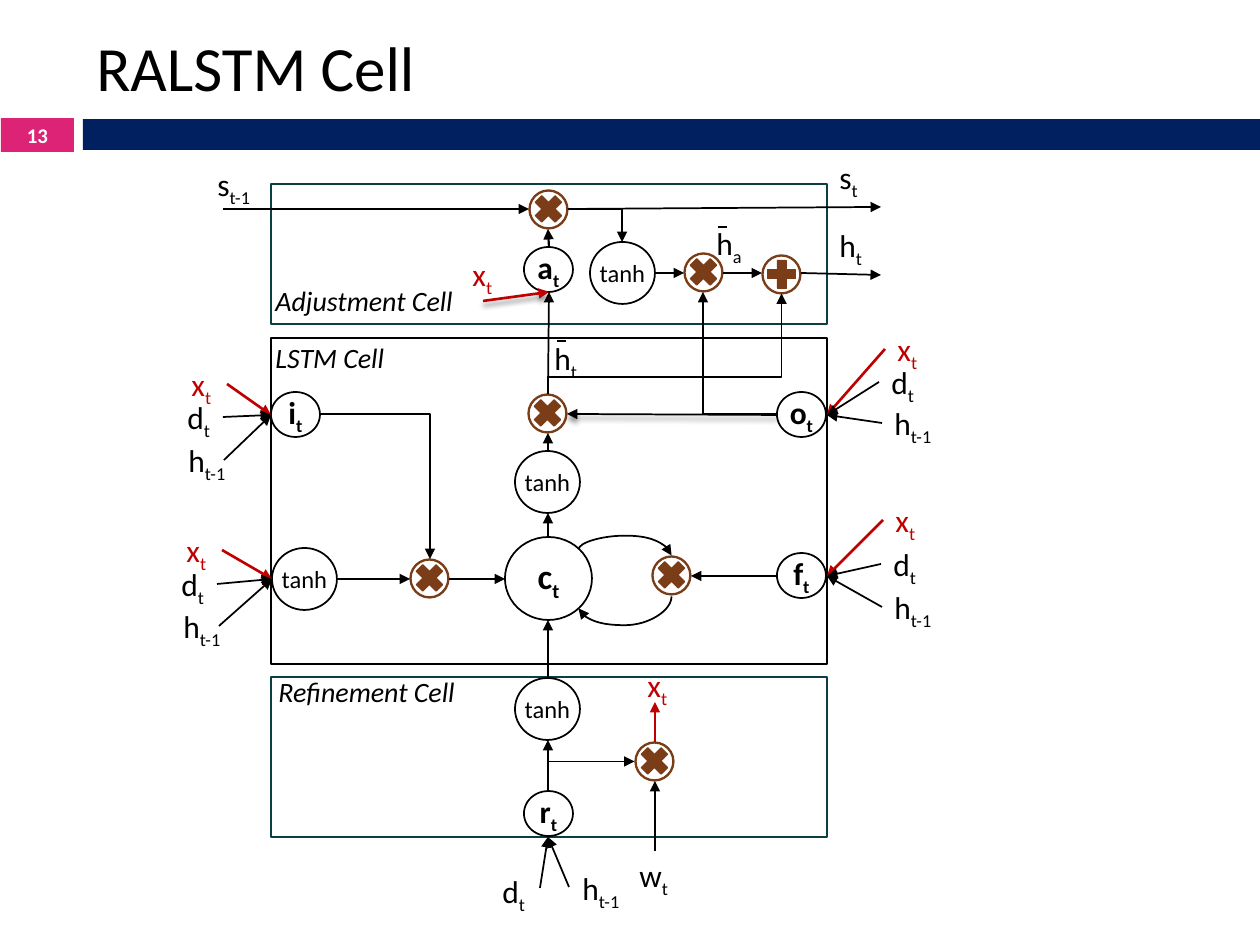
from lxml import etree
from pptx import Presentation
from pptx.dml.color import RGBColor
from pptx.enum import shapes, text
from pptx.oxml import parse_xml
from pptx.oxml.ns import nsdecls, qn
from pptx.util import Pt

PX = 914400 / 126
THEME = {
    "font": "Calibri", "ink": "000000", "red": "C00000", "white": "FFFFFF",
    "pink": "DC2375", "navy": "002060", "teal": "0B3F41", "brown": "7B3D17", "moss": "578279",
    "title": 36, "page": 11.9, "cell": 16, "label": 18, "gate": 18, "core": 20, "tanh": 14,
}
KIND = shapes.MSO_SHAPE
LINK = shapes.MSO_CONNECTOR

prs = Presentation()
prs.slide_width, prs.slide_height = round(1260 * PX), round(945 * PX)
slide = prs.slides.add_slide(prs.slide_layouts[6])
tree = slide.shapes


def put(kind, box, runs=(), size="label", ink="ink", fill=None, edge=None, width=1, style=""):
    """Place a shape, or a text box when kind is None; runs after the first are subscripts."""
    box = [round(n * PX) for n in box]
    if kind is None:
        item = tree.add_textbox(*box)
    else:
        item = tree.add_shape(kind, *box)
        item.shadow.inherit = False
        for part, tone in ((item.fill, fill), (item.line.fill, edge)):
            if tone:
                part.solid()
                part.fore_color.rgb = RGBColor.from_string(THEME[tone])
            else:
                part.background()
        if edge:
            item.line.width = Pt(width)
    if runs:
        frame = item.text_frame
        frame.word_wrap = True
        para = frame.paragraphs[0]
        if kind is not None:
            frame.margin_left = frame.margin_right = frame.margin_top = frame.margin_bottom = 0
            frame.vertical_anchor = text.MSO_ANCHOR.MIDDLE
            para.alignment = text.PP_ALIGN.CENTER
        for i, word in enumerate(runs):
            run = para.add_run()
            run.text = word
            font = run.font
            font.name, font.size = THEME["font"], Pt(THEME[size])
            font.color.rgb = RGBColor.from_string(THEME[ink])
            font.bold, font.italic = "b" in style, "i" in style
            if i:
                font._element.set("baseline", "-25000")
    return item


def link(start, end, ink="ink", width=1, head=True, shade=False, kind=LINK.STRAIGHT):
    """Draw a connector, with an arrowhead at its end."""
    wire = tree.add_connector(kind, *[round(n * PX) for n in (*start, *end)])
    wire.line.color.rgb = RGBColor.from_string(THEME[ink])
    wire.line.width = Pt(width)
    if head:
        etree.SubElement(wire.line._get_or_add_ln(), qn("a:tailEnd"), type="triangle")
    glow = ('<a:outerShdw blurRad="38100" dist="30480" dir="5400000" rotWithShape="0">'
            '<a:srgbClr val="000000"><a:alpha val="45000"/></a:srgbClr></a:outerShdw>')
    wire._element.spPr.append(parse_xml(
        f'<a:effectLst {nsdecls("a")}>{glow if shade else ""}</a:effectLst>'))
    return wire


# Header
title = put(None, (84, 32, 1124, 69), ["RALSTM Cell"], "title")
title.text_frame.vertical_anchor = text.MSO_ANCHOR.MIDDLE
put(KIND.RECTANGLE, (83, 119, 1177, 31), fill="navy")
put(KIND.RECTANGLE, (1, 118, 73, 34), ["13"], "page", "white", fill="pink", style="b")

# Cell frames and their names
for top, tall, edge, name, left, row, wide in (
        (184, 140, "teal", "Adjustment Cell", 263, 277, 208),
        (338, 326, "ink", "LSTM Cell", 263, 334, 140),
        (677, 160, "teal", "Refinement Cell", 266, 668, 208)):
    put(KIND.RECTANGLE, (271, top, 556, tall), edge=edge)
    put(None, (left, row, wide, 47), [name], "cell", style="i")

# Gates, tanh nodes and the core
for name, x, y in (("i", 271, 392), ("o", 777, 392), ("f", 777, 553),
                   ("r", 524, 791), ("a", 524, 247)):
    put(KIND.OVAL, (x, y, 49, 45), [name, "t"], "gate", edge="ink", style="b")
for x, y in ((272, 548), (590, 242), (515, 678), (515, 451)):
    put(KIND.OVAL, (x, y, 65, 62), ["tanh"], "tanh", edge="ink")
put(KIND.OVAL, (505, 537, 87, 83), ["c", "t"], "core", edge="ink", style="b")

# Multiply and plus signs in rings
TIMES, PLUS = KIND.MATH_MULTIPLY, KIND.MATH_PLUS
for sign, x, y in ((TIMES, 410, 559), (TIMES, 635, 742), (TIMES, 652, 556), (TIMES, 529, 190),
                   (TIMES, 684, 253), (TIMES, 528, 394), (PLUS, 762, 255)):
    ring = put(KIND.DONUT, (x, y, 39, 39), fill="moss" if sign == PLUS else "brown",
               edge="brown", width=0.75)
    ring.adjustments[0] = 0.027
    put(sign, (x + 0.5, y, 38, 38), fill="brown", edge="brown",
        width=0.25 if sign == PLUS else 0.79)

# Labels outside the fans
WIDE = {"x": 47, "d": 49, "w": 55, "h": 66, "s": 66}
for name, sub, x, y in (
        ("d", "t", 490, 866), ("h", "t-1", 570, 863), ("w", "t", 627, 850), ("x", "t", 635, 660),
        ("s", "t-1", 205, 159), ("s", "t", 827, 152), ("h", "t", 827, 220), ("x", "t", 460, 249),
        ("h", "t", 542, 333), ("h", "a", 704, 218)):
    put(None, (x, y, WIDE[name], 50), [name, sub], ink="red" if name == "x" else "ink")

# Bars over the two h labels
for x, y in ((557, 341), (718, 227)):
    link((x, y), (x + 9, y), width=1.25, head=False)

# Fans of three inputs: goal, shift from label to line start, label corners
for goal, shift, spots in (
        ((271, 415), 48, ((179, 359), (175, 392), (176, 435))),
        ((272, 579), 48, ((174, 525), (169, 559), (171, 601))),
        ((827, 415), 0, ((885, 324), (879, 357), (882, 398))),
        ((827, 576), 0, ((883, 495), (881, 539), (882, 582)))):
    for (name, sub), (x, y) in zip((("x", "t"), ("d", "t"), ("h", "t-1")), spots):
        ink, width = ("red", 1.5) if name == "x" else ("ink", 1)
        put(None, (x, y, WIDE[name], 50), [name, sub], ink=ink)
        link((x + shift, y + 25), goal, ink, width)

# Straight arrows
for start, end in (
        ((548, 791), (548, 740)), ((655, 851), (655, 781)), ((548, 678), (548, 620)),
        ((548, 537), (548, 513)), ((548, 451), (548, 433)), ((777, 576), (691, 576)),
        ((449, 579), (505, 579)), ((337, 579), (410, 579)), ((548, 394), (549, 292)),
        ((223, 209), (529, 209)), ((568, 209), (881, 207)), ((655, 273), (684, 273)),
        ((723, 273), (762, 273)), ((801, 273), (881, 275)),
        ((540, 888), (548, 837)), ((569, 887), (548, 837))):
    link(start, end)
link((549, 247), (548, 229), width=1.25)
link((655, 742), (655, 702), "red", 1.5)
link((777, 415), (567, 414), shade=True)
link((483, 301), (549, 292), "red", 1.5, shade=True)

# Bent and curved arrows: ends before turning, preset, turn in degrees, bend
for start, end, form, turn, bend in (
        ((606, 820), (576, 733), "bentConnector2", 90, None),
        ((320, 414), (430, 559), "bentConnector2", 0, None),
        ((568, 209), (622, 242), "bentConnector2", 0, None),
        ((703, 292), (777, 414), "bentConnector2", 180, None),
        ((715, 461), (614, 227), "bentConnector3", 90, 0.173),
        ((628, 506), (622, 599), "curvedConnector3", 270, -2.313),
        ((619, 556), (631, 649), "curvedConnector3", 90, 2.396)):
    wire = link(start, end, kind=LINK.CURVE if form[0] == "c" else LINK.ELBOW)
    shape = wire._element.spPr
    shape.find(qn("a:xfrm")).set("rot", str(turn * 60000))
    form_tag = shape.find(qn("a:prstGeom"))
    form_tag.set("prst", form)
    if bend:
        etree.SubElement(form_tag.find(qn("a:avLst")), qn("a:gd"), name="adj1",
                         fmla=f"val {round(bend * 100000)}")

prs.save("out.pptx")
